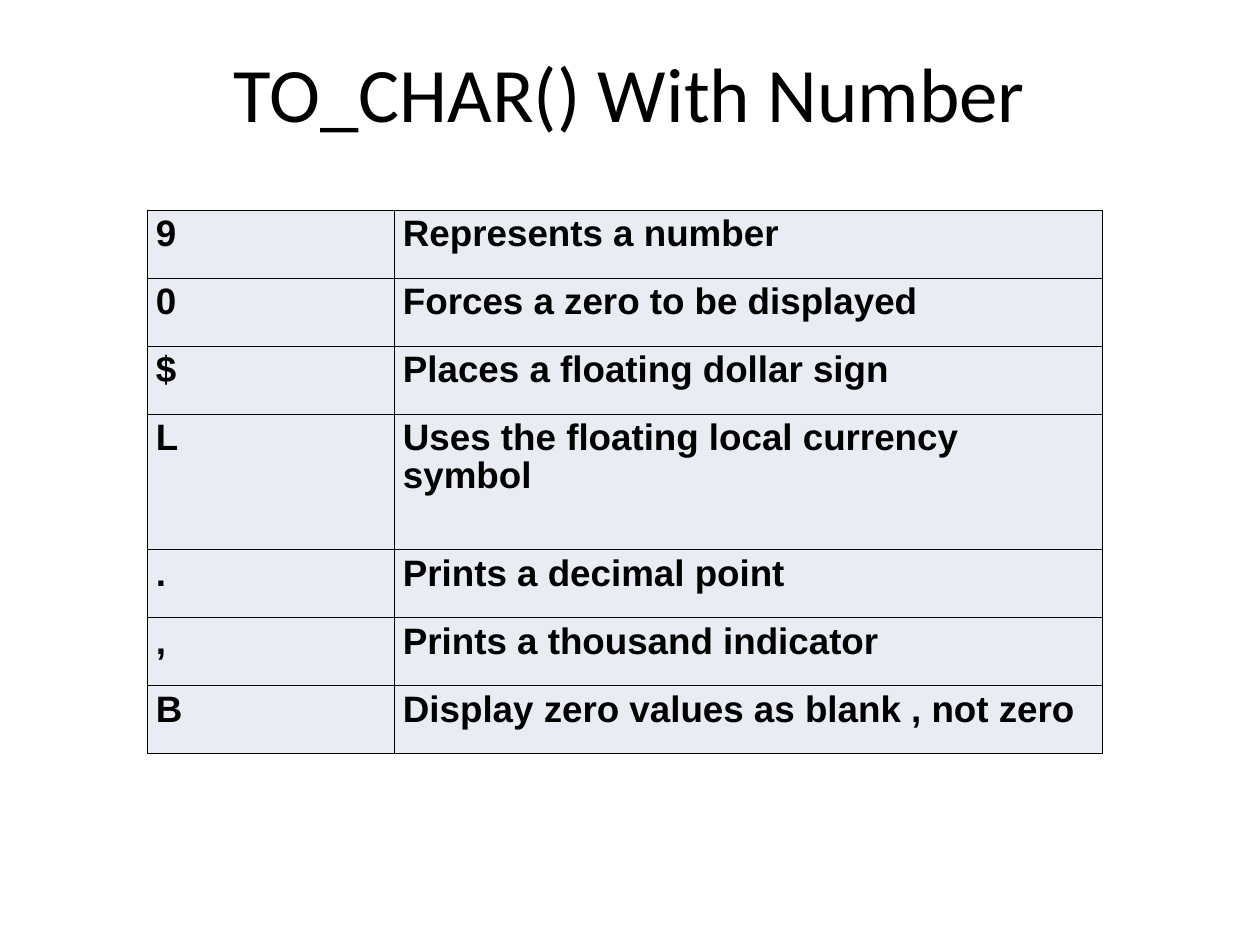
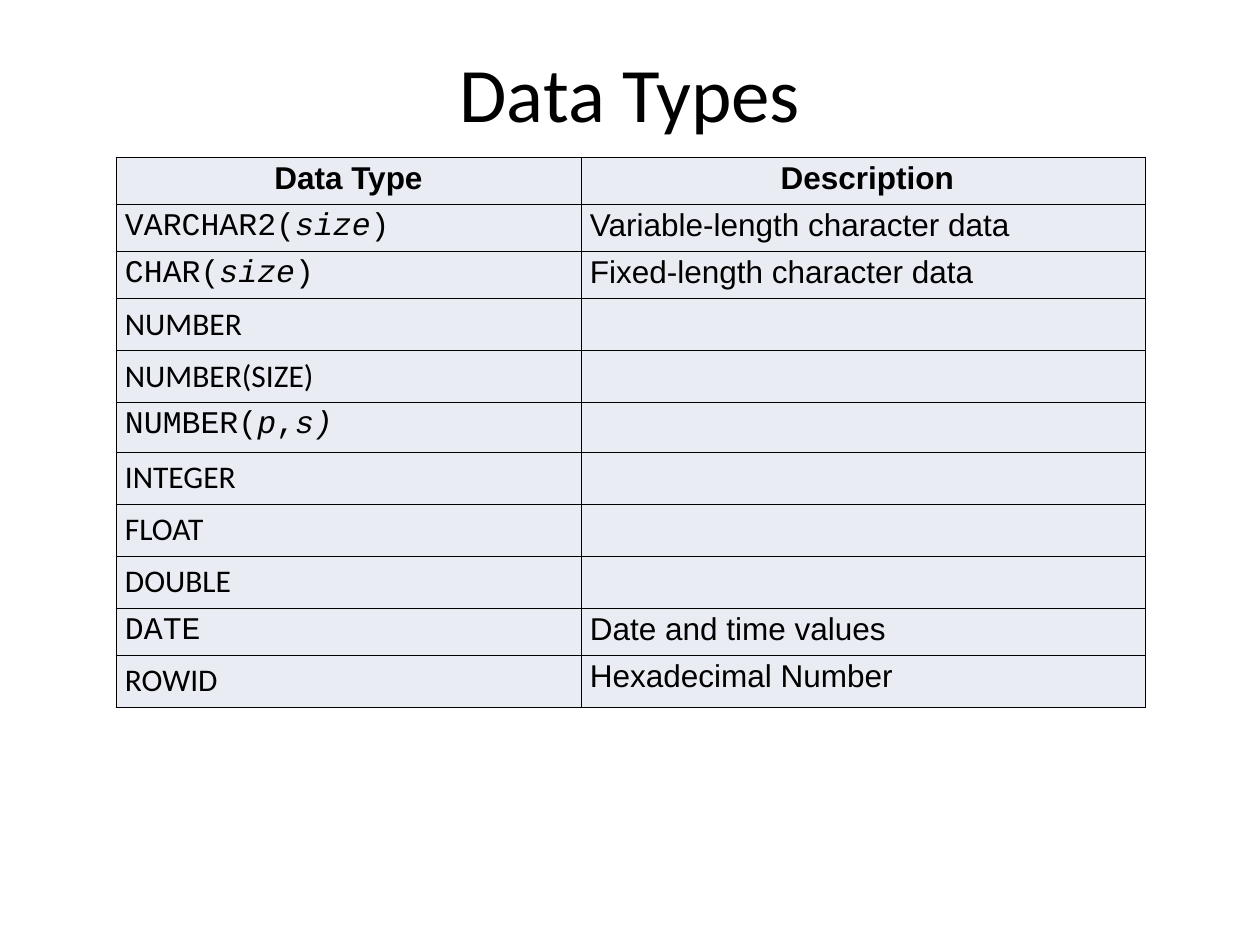
from lxml import etree
from pptx import Presentation
from pptx import util as u
from pptx.dml import color
from pptx.enum import text
from pptx.oxml import ns

SCALE = 914400 / 126  # EMU in one px
HEX = {"ink": "000000", "cell": "E9ECF3"}
CENTER = text.PP_ALIGN.CENTER

# Text formats: font values, then paragraph values
TITLE = ({"name": "Calibri", "size": u.Pt(44)}, {"alignment": CENTER})
TERM = ({"name": "Arial", "size": u.Pt(21), "bold": True}, {"line_spacing": 0.93})
HEAD = ({"name": "Arial", "size": u.Pt(18), "bold": True},
        {"line_spacing": 0.93, "alignment": CENTER})
BODY = ({"name": "Arial", "size": u.Pt(18)}, {"line_spacing": 0.93})
CODE = ({"name": "Courier New", "size": u.Pt(18)}, {"line_spacing": 0.89})
PLAIN = ({"name": "Calibri", "size": u.Pt(18)}, {"line_spacing": 1.02})

# Rows of each table; asterisks enclose italics
SIGNS = [
    ("9", "Represents a number"),
    ("0", "Forces a zero to be displayed"),
    ("$", "Places a floating dollar sign"),
    ("L", "Uses the floating local currency symbol"),
    (".", "Prints a decimal point"),
    (",", "Prints a thousand indicator"),
    ("B", "Display zero values as blank , not zero"),
]
TYPES = [
    (CODE, "VARCHAR2(*size*)", "Variable-length character data", 45),
    (CODE, "CHAR(*size*)", "Fixed-length character data", 45),
    (PLAIN, "NUMBER", "", 52),
    (PLAIN, "NUMBER(SIZE)", "", 52),
    (CODE, "NUMBER(*p*,*s)*", "", 48),
    (PLAIN, "INTEGER", "", 52),
    (PLAIN, "FLOAT", "", 52),
    (PLAIN, "DOUBLE", "", 52),
    (CODE, "DATE", "Date and time values", 45),
    (PLAIN, "ROWID", "Hexadecimal Number", 52),
]


def px(n):
    return u.Emu(round(n * SCALE))


def rgb(key):
    return color.RGBColor.from_string(HEX[key])


def apply(item, vals):
    for key, val in vals.items():
        setattr(item, key, val)


def write(frame, words, form):
    """Fill the first paragraph, with every second part in italics."""
    para = frame.paragraphs[0]
    apply(para, form[1])
    for i, part in enumerate(words.split("*")):
        if part:
            run = para.add_run()
            run.text = part
            apply(run.font, form[0])
            run.font.italic = i % 2 == 1
            run.font.color.rgb = rgb("ink")


def inset(item, side, top):
    apply(item, {"margin_left": px(side), "margin_right": px(side),
                 "margin_top": px(top), "margin_bottom": px(6)})


def edge(cell):
    """Draw a thin line on all four sides; goes before the fill."""
    props = cell._tc.get_or_add_tcPr()
    for tag in ("a:lnL", "a:lnR", "a:lnT", "a:lnB"):
        line = etree.SubElement(props, ns.qn(tag), w=str(u.Pt(0.45)))
        fill = etree.SubElement(line, ns.qn("a:solidFill"))
        etree.SubElement(fill, ns.qn("a:srgbClr"), val=HEX["ink"])


def page(deck, title):
    slide = deck.slides.add_slide(deck.slide_layouts[6])
    frame = slide.shapes.add_textbox(px(63), px(38), px(1134), px(158)).text_frame
    frame.word_wrap = True
    inset(frame, 13, 8)
    write(frame, title, TITLE)
    return slide


def table(slide, left, top, cols, rows):
    """Each row is a height and a (words, format) pair for every column."""
    high = sum(row[0] for row in rows)
    grid = slide.shapes.add_table(len(rows), len(cols), px(left), px(top),
                                  px(sum(cols)), px(high)).table
    apply(grid, {"first_row": False, "horz_banding": False})
    for col, wide in zip(grid.columns, cols):
        col.width = px(wide)
    for r, (tall, *cells) in enumerate(rows):
        grid.rows[r].height = px(tall)
        for c, (words, form) in enumerate(cells):
            cell = grid.cell(r, c)
            inset(cell, 9, 6)
            edge(cell)
            cell.fill.solid()
            cell.fill.fore_color.rgb = rgb("cell")
            write(cell.text_frame, words, form)


def main():
    deck = Presentation()
    apply(deck, {"slide_width": px(1260), "slide_height": px(945)})

    # Number format signs
    rows = [(136 if sign == "L" else 68, (sign, TERM), (note, TERM))
            for sign, note in SIGNS]
    table(page(deck, "TO_CHAR() With Number"), 147, 210, (247, 708), rows)

    # Data types
    rows = [(46, ("Data Type", HEAD), (" Description", HEAD))]
    rows += [(tall, (name, form), (note, BODY)) for form, name, note, tall in TYPES]
    table(page(deck, "Data Types"), 116, 157, (465, 564), rows)

    deck.save("out.pptx")


if __name__ == "__main__":
    main()
